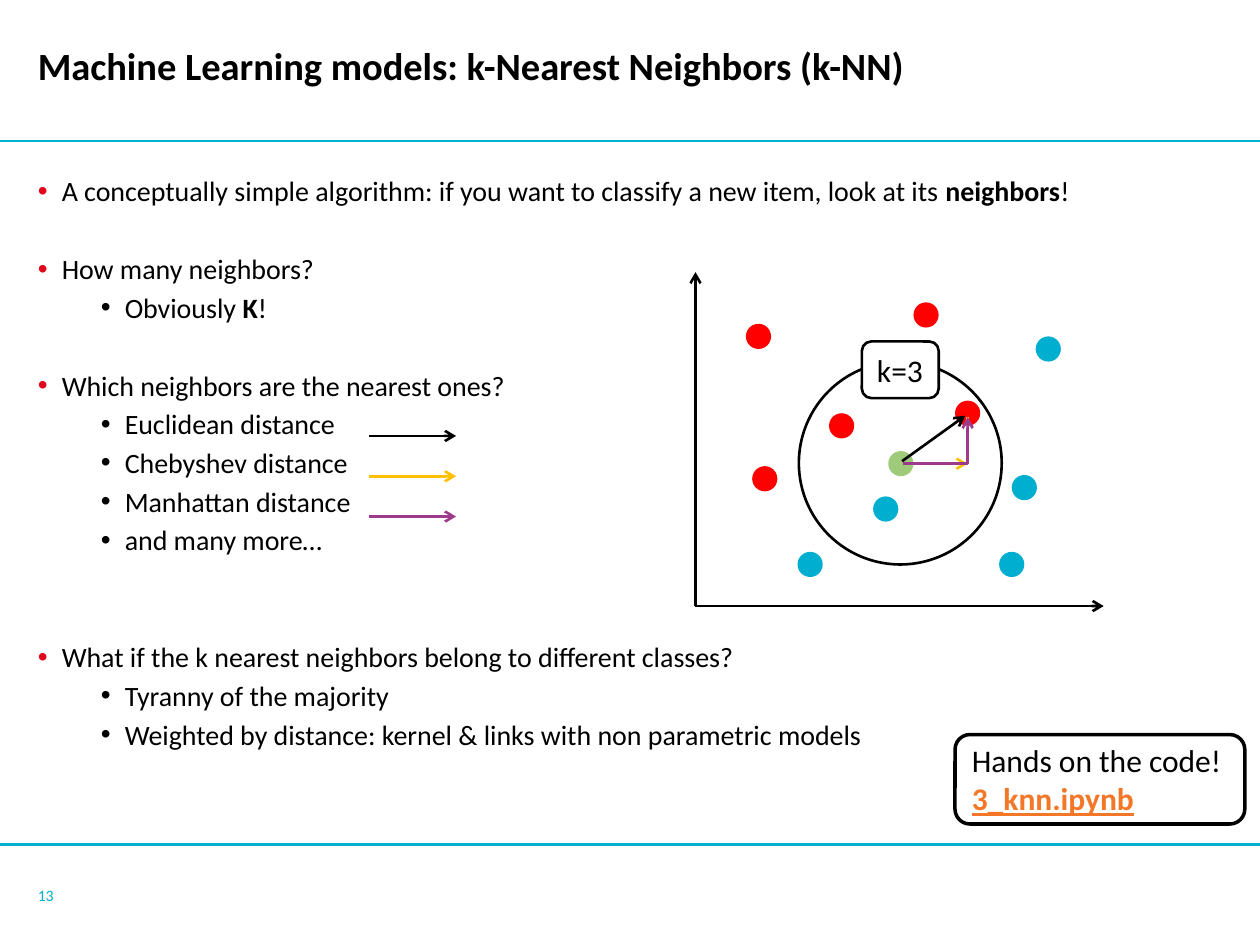
from dataclasses import dataclass
from typing import Optional

from lxml import etree
from pptx import Presentation
from pptx.dml.color import RGBColor
from pptx.enum import dml, shapes, text
from pptx.oxml import ns
from pptx.util import Inches, Pt

BLACK = RGBColor(0x00, 0x00, 0x00)
WHITE = RGBColor(0xFF, 0xFF, 0xFF)
RED = RGBColor(0xFF, 0x00, 0x00)
BLUE = RGBColor(0x00, 0xAF, 0xD0)
GREEN = RGBColor(0x9F, 0xCA, 0x7A)
YELLOW = RGBColor(0xFF, 0xC0, 0x00)
PURPLE = RGBColor(0x9E, 0x3A, 0x8B)
ORANGE = RGBColor(0xF3, 0x77, 0x26)
BULLET_RED = RGBColor(0xE1, 0x06, 0x1C)

FONT = "Calibri"
DOT_SIZE = 0.2
ITEM_GAP = 2.9  # points before every item
LINE_PITCH = 22.4  # points from one item to the next


@dataclass
class Span:
    text: str
    bold: bool = False
    color: RGBColor = BLACK
    underline: bool = False


@dataclass
class Item:
    spans: list[Span]
    level: int = 0
    lines_skipped: int = 0


@dataclass
class Line:
    start: tuple[float, float]
    end: tuple[float, float]
    color: RGBColor = BLACK
    arrow: bool = True
    dashed: bool = False
    bent: bool = False


@dataclass
class Dot:
    left: float
    top: float
    color: RGBColor


ITEMS = [
    Item([Span("A conceptually simple algorithm: if you want to classify a new item, look at its "),
          Span("neighbors", bold=True), Span("!")]),
    Item([Span("How many neighbors?")], lines_skipped=1),
    Item([Span("Obviously "), Span("K", bold=True), Span("!")], level=1),
    Item([Span("Which neighbors are the nearest ones?")], lines_skipped=1),
    Item([Span("Euclidean distance")], level=1),
    Item([Span("Chebyshev distance")], level=1),
    Item([Span("Manhattan distance")], level=1),
    Item([Span("and many more…")], level=1),
    Item([Span("What if the k nearest neighbors belong to different classes?")], lines_skipped=2),
    Item([Span("Tyranny of the majority")], level=1),
    Item([Span("Weighted by distance: kernel & links with non parametric models")], level=1),
]

RULES = [Line((0, y), (10, y), BLUE, arrow=False) for y in (1.12, 6.7)]
AXES = [Line((5.52, 4.81), (8.76, 4.81)), Line((5.52, 4.81), (5.52, 2.16))]
LEGEND = [Line((2.93, 3.46 + 0.32 * row), (3.62, 3.46 + 0.32 * row), color)
          for row, color in enumerate((BLACK, YELLOW, PURPLE))]
DISTANCES = [
    Line((7.16, 3.66), (7.66, 3.3)),
    Line((7.17, 3.68), (7.68, 3.68), YELLOW),
    Line((7.68, 3.67), (7.68, 3.31), YELLOW, arrow=False, dashed=True),
    Line((7.17, 3.68), (7.68, 3.31), PURPLE, bent=True),
]
DOTS = [
    Dot(7.05, 3.58, GREEN),
    *(Dot(x, y, RED) for x, y in
      ((6.58, 3.28), (7.58, 3.18), (5.97, 3.7), (5.92, 2.57), (7.25, 2.4))),
    *(Dot(x, y, BLUE) for x, y in
      ((6.93, 3.94), (8.03, 3.77), (7.93, 4.38), (6.33, 4.38), (8.22, 2.67))),
]


def add_spans(paragraph, spans: list[Span], size: float) -> None:
    for span in spans:
        run = paragraph.add_run()
        run.text = span.text
        run.font.name = FONT
        run.font.size = Pt(size)
        run.font.bold = span.bold
        run.font.underline = span.underline
        run.font.color.rgb = span.color


def place(shape, left: float, top: float, width: float, height: float, anchor) -> None:
    """Move a text shape and clear its insets."""
    shape.left, shape.top = Inches(left), Inches(top)
    shape.width, shape.height = Inches(width), Inches(height)
    frame = shape.text_frame
    frame.margin_left = frame.margin_right = frame.margin_top = frame.margin_bottom = 0
    frame.auto_size = text.MSO_AUTO_SIZE.NONE
    frame.word_wrap = True
    frame.vertical_anchor = anchor


def set_bullet(paragraph, level: int) -> None:
    properties = paragraph._p.get_or_add_pPr()
    properties.set("marL", str(Inches(0.69 if level else 0.19)))
    properties.set("indent", str(Inches(-0.19)))
    color = etree.SubElement(properties, ns.qn("a:buClr"))
    etree.SubElement(color, ns.qn("a:srgbClr")).set("val", str(BLACK if level else BULLET_RED))
    etree.SubElement(properties, ns.qn("a:buFont")).set("typeface", "Arial")
    etree.SubElement(properties, ns.qn("a:buChar")).set("char", "•")


def fill_body(body, items: list[Item]) -> None:
    for index, item in enumerate(items):
        frame = body.text_frame
        paragraph = frame.add_paragraph() if index else frame.paragraphs[0]
        paragraph.level = item.level
        set_bullet(paragraph, item.level)
        paragraph.space_before = Pt(ITEM_GAP + LINE_PITCH * item.lines_skipped if index else 0)
        add_spans(paragraph, item.spans, 16)


def add_line(slide, line: Line) -> None:
    kind = shapes.MSO_CONNECTOR.ELBOW if line.bent else shapes.MSO_CONNECTOR.STRAIGHT
    points = [Inches(value) for value in (*line.start, *line.end)]
    connector = slide.shapes.add_connector(kind, *points)
    connector.line.color.rgb = line.color
    connector.line.width = Pt(1.5)
    if line.dashed:
        connector.line.dash_style = dml.MSO_LINE.DASH
    properties = connector._element.spPr
    if line.bent:  # one corner only
        properties.find(ns.qn("a:prstGeom")).set("prst", "bentConnector2")
    if line.arrow:
        tail = etree.SubElement(connector.line._get_or_add_ln(), ns.qn("a:tailEnd"))
        tail.set("type", "arrow")
    etree.SubElement(properties, ns.qn("a:effectLst"))


def add_filled(slide, kind, left: float, top: float, width: float, height: float,
               fill: RGBColor, outline: Optional[float] = None):
    """Add a preset shape with a plain fill and, if given, a black outline in points."""
    shape = slide.shapes.add_shape(kind, Inches(left), Inches(top), Inches(width), Inches(height))
    shape.shadow.inherit = False
    shape.fill.solid()
    shape.fill.fore_color.rgb = fill
    if outline is None:
        shape.line.fill.background()
    else:
        shape.line.color.rgb = BLACK
        shape.line.width = Pt(outline)
    return shape


def add_label(slide, left: float, top: float, width: float, height: float,
              outline: float, lines: list[Span], wrap: bool) -> None:
    box = add_filled(slide, shapes.MSO_SHAPE.ROUNDED_RECTANGLE,
                     left, top, width, height, WHITE, outline)
    frame = box.text_frame
    frame.word_wrap = wrap
    frame.vertical_anchor = text.MSO_ANCHOR.MIDDLE
    for index, span in enumerate(lines):
        paragraph = frame.add_paragraph() if index else frame.paragraphs[0]
        paragraph.alignment = text.PP_ALIGN.LEFT
        add_spans(paragraph, [span], 18)


def main() -> None:
    presentation = Presentation()
    presentation.slide_width, presentation.slide_height = Inches(10), Inches(7.5)
    slide = presentation.slides.add_slide(presentation.slide_layouts[1])

    title = slide.shapes.title
    place(title, 0.3, 0, 9.5, 1.1, text.MSO_ANCHOR.MIDDLE)
    heading = title.text_frame.paragraphs[0]
    heading.alignment = text.PP_ALIGN.LEFT
    heading.line_spacing = Pt(22)
    add_spans(heading, [Span("Machine Learning models: k-Nearest Neighbors (k-NN)", bold=True)], 22)

    body = slide.placeholders[1]
    place(body, 0.3, 1.38, 9.5, 5.12, text.MSO_ANCHOR.TOP)
    fill_body(body, ITEMS)

    add_filled(slide, shapes.MSO_SHAPE.OVAL, 6.34, 2.87, 1.61, 1.61, WHITE, 1.5)
    for dot in DOTS:
        add_filled(slide, shapes.MSO_SHAPE.OVAL, dot.left, dot.top, DOT_SIZE, DOT_SIZE, dot.color)
    add_label(slide, 6.84, 2.71, 0.61, 0.45, 1.5, [Span("k=3")], wrap=False)
    for line in RULES + AXES + DISTANCES + LEGEND:
        add_line(slide, line)
    add_label(slide, 7.58, 5.83, 2.3, 0.71, 2, [
        Span("Hands on the code!"),
        Span("3_knn.ipynb", bold=True, color=ORANGE, underline=True),
    ], wrap=True)

    number = slide.shapes.add_textbox(0, 0, 0, 0)
    place(number, 0.3, 6.91, 0.3, 0.39, text.MSO_ANCHOR.MIDDLE)
    add_spans(number.text_frame.paragraphs[0], [Span("13", color=BLUE)], 9)

    presentation.save("out.pptx")


if __name__ == "__main__":
    main()
